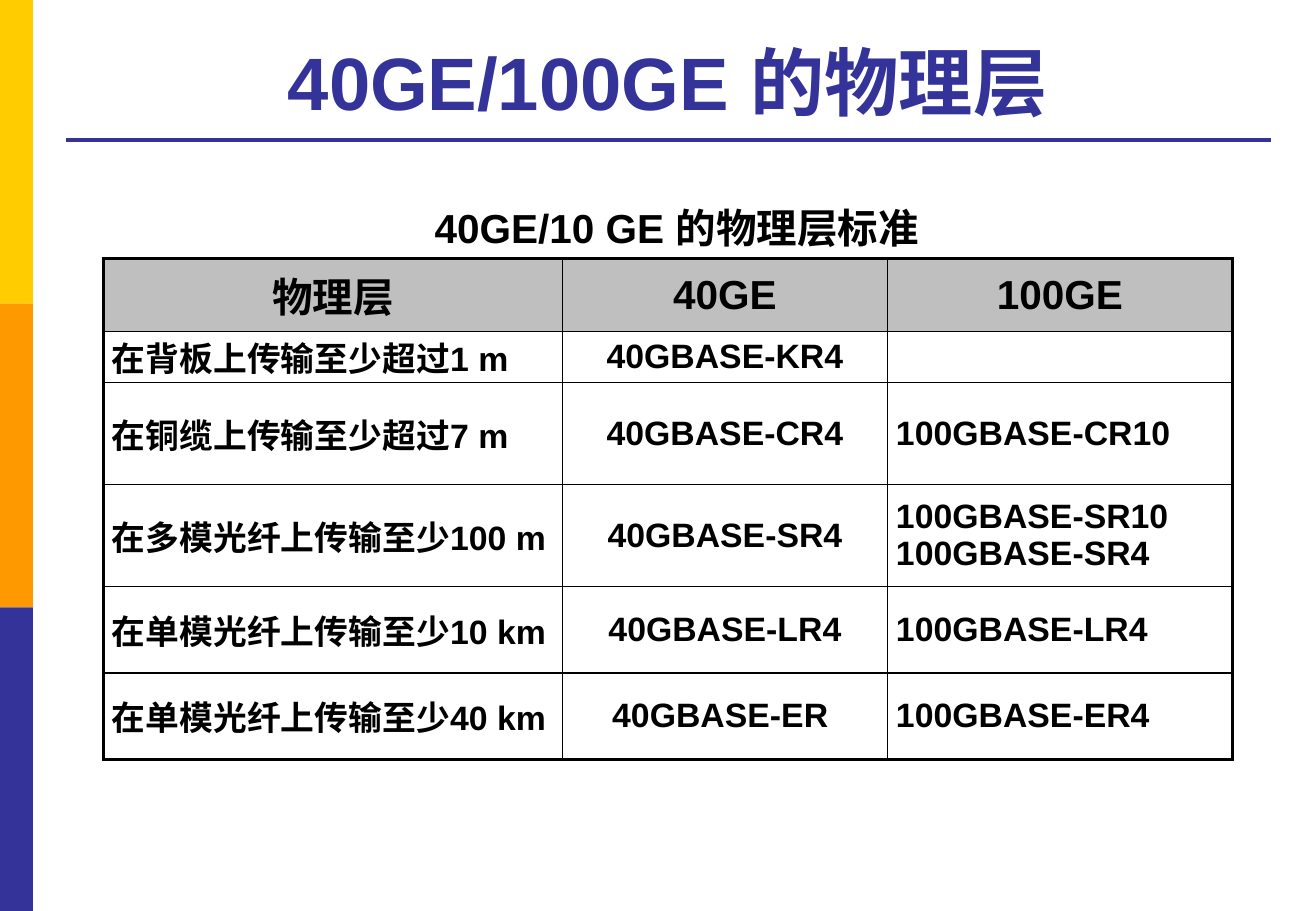
import pptx
import pptx.util
import pptx.dml.color
import pptx.enum.shapes
import pptx.enum.text
import pptx.oxml
import pptx.oxml.ns

Cm = pptx.util.Cm
Pt = pptx.util.Pt
ALIGN = pptx.enum.text.PP_ALIGN
ANCHOR = pptx.enum.text.MSO_ANCHOR

COLORS = {
    "yellow": "FFCC00",
    "orange": "FF9900",
    "navy": "333399",
    "gray": "BFBFBF",
    "black": "000000",
}
THICK, THIN = 2.25, 1

WIDTHS = [9.6, 6.79, 7.21]
HEIGHTS = [1.52, 1.07, 2.13, 2.13, 1.81, 1.81]
ROWS = [
    ["物理层", "40GE", "100GE"],
    ["在背板上传输至少超过1 m", "40GBASE-KR4", ""],
    ["在铜缆上传输至少超过7 m", "40GBASE-CR4", "100GBASE-CR10"],
    ["在多模光纤上传输至少100 m", "40GBASE-SR4", "100GBASE-SR10\n100GBASE-SR4"],
    ["在单模光纤上传输至少10 km", "40GBASE-LR4", "100GBASE-LR4"],
    ["在单模光纤上传输至少40 km", "40GBASE-ER\u00a0", "100GBASE-ER4"],
]


def color(name):
    return pptx.dml.color.RGBColor.from_string(COLORS[name])


def write(frame, text, size, tint="black", align=ALIGN.CENTER):
    frame.text = text
    for para in frame.paragraphs:
        para.alignment = align
        para.font.name = "Arial"
        para.font.size = Pt(size)
        para.font.bold = True
        para.font.color.rgb = color(tint)


def add_bar(slide, left, top, width, height, tint):
    bar = slide.shapes.add_shape(
        pptx.enum.shapes.MSO_SHAPE.RECTANGLE,
        Cm(left), Cm(top), Cm(width), Cm(height))
    bar.shadow.inherit = False
    bar.fill.solid()
    bar.fill.fore_color.rgb = color(tint)
    bar.line.fill.background()


def add_rule(slide, left, right, top):
    rule = slide.shapes.add_connector(
        pptx.enum.shapes.MSO_CONNECTOR.STRAIGHT,
        Cm(left), Cm(top), Cm(right), Cm(top))
    rule.line.color.rgb = color("navy")
    rule.line.width = Pt(THICK)
    rule._element.spPr.append(pptx.oxml.parse_xml(
        f'<a:effectLst {pptx.oxml.ns.nsdecls("a")}/>'))


def add_text(slide, left, top, width, height, text, size, tint, anchor):
    box = slide.shapes.add_textbox(Cm(left), Cm(top), Cm(width), Cm(height))
    box.text_frame.word_wrap = True
    box.text_frame.vertical_anchor = anchor
    write(box.text_frame, text, size, tint)


def add_edge(cell, side, points):
    cell._tc.get_or_add_tcPr().append(pptx.oxml.parse_xml(
        f'<a:ln{side} {pptx.oxml.ns.nsdecls("a")} w="{Pt(points)}">'
        f'<a:solidFill><a:srgbClr val="{COLORS["black"]}"/></a:solidFill>'
        f'</a:ln{side}>'))


def style_cell(cell, row, col, text):
    head = row == 0
    cell.margin_left = cell.margin_right = Cm(0.18)
    cell.margin_top = cell.margin_bottom = 0
    cell.vertical_anchor = ANCHOR.MIDDLE
    align = ALIGN.CENTER if head or col == 1 else ALIGN.JUSTIFY
    write(cell.text_frame, text, 24 if head else 20, align=align)

    # Thick outer frame, thin inner grid
    outer = {
        "L": col == 0,
        "R": col == len(WIDTHS) - 1,
        "T": head,
        "B": row == len(ROWS) - 1,
    }
    for side, edge in outer.items():
        add_edge(cell, side, THICK if edge else THIN)

    if head:
        cell.fill.solid()
        cell.fill.fore_color.rgb = color("gray")
    else:
        cell.fill.background()


def add_grid(slide, left, top):
    table = slide.shapes.add_table(
        len(ROWS), len(WIDTHS), Cm(left), Cm(top),
        Cm(sum(WIDTHS)), Cm(sum(HEIGHTS))).table
    table.first_row = table.horz_banding = False
    for col, width in enumerate(WIDTHS):
        table.columns[col].width = Cm(width)
    for row, height in enumerate(HEIGHTS):
        table.rows[row].height = Cm(height)
        for col, text in enumerate(ROWS[row]):
            style_cell(table.cell(row, col), row, col, text)


def main():
    deck = pptx.Presentation()
    deck.slide_width, deck.slide_height = Cm(27.51), Cm(19.05)
    slide = deck.slides.add_slide(deck.slide_layouts[6])

    # Side band in three equal parts
    part = 19.05 / 3
    for step, tint in enumerate(["yellow", "orange", "navy"]):
        add_bar(slide, 0, step * part, 0.69, part, tint)

    # Title and rule
    add_rule(slide, 1.37, 26.57, 2.92)
    add_text(slide, 1.37, 0.53, 25.18, 2.21, "40GE/100GE 的物理层",
             44, "navy", ANCHOR.BOTTOM)

    # Table and its caption
    add_grid(slide, 2.16, 5.41)
    add_text(slide, 4.95, 4.11, 18.39, 1.27, "40GE/10 GE 的物理层标准",
             24, "black", ANCHOR.MIDDLE)

    deck.save("out.pptx")


main()
